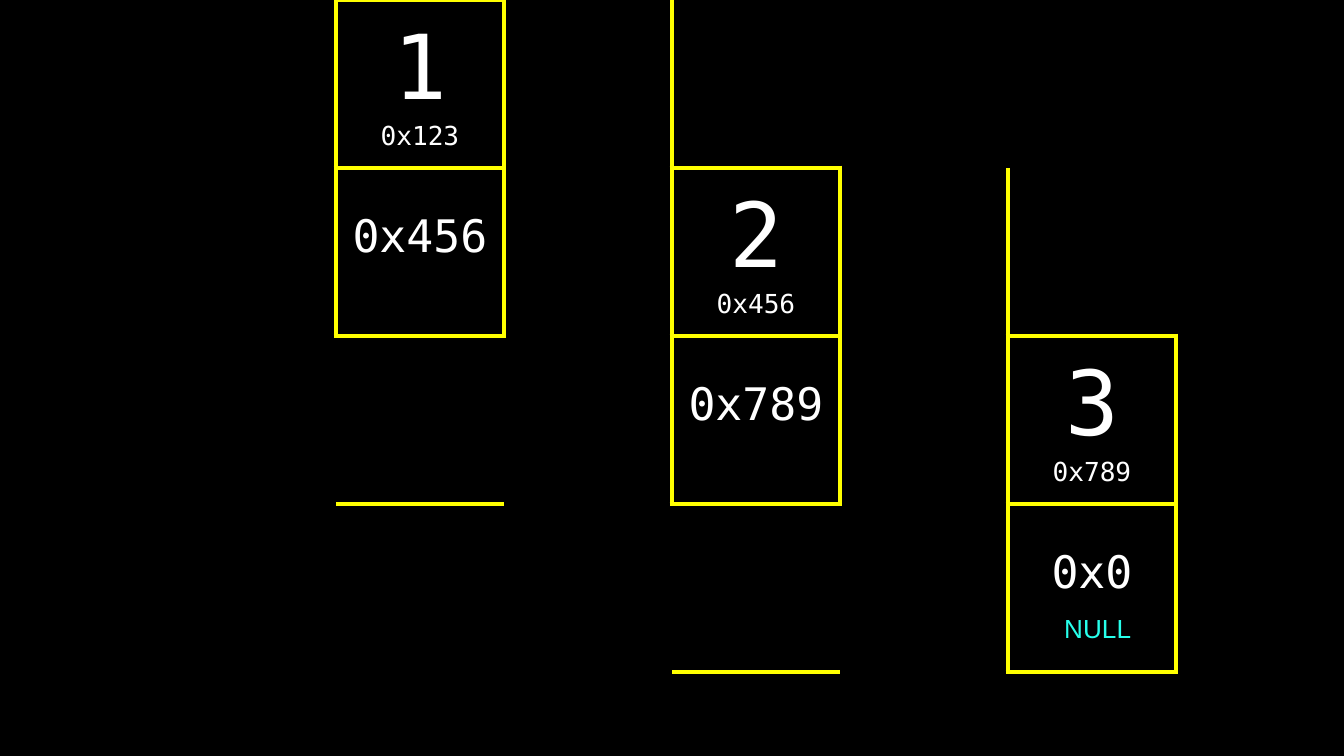
from lxml import etree
from pptx import Presentation
from pptx.dml.color import RGBColor
from pptx.enum.text import MSO_ANCHOR, MSO_AUTO_SIZE, PP_ALIGN
from pptx.oxml.ns import qn
from pptx.util import Inches, Pt

CENTER, LEFT = PP_ALIGN.CENTER, PP_ALIGN.LEFT
MIDDLE, BOTTOM = MSO_ANCHOR.MIDDLE, MSO_ANCHOR.BOTTOM
GROW = MSO_AUTO_SIZE.SHAPE_TO_FIT_TEXT

COLORS = {"back": "000000", "edge": "FFFF00", "text": "FFFFFF", "null": "27FFEB"}
MONO, SANS = "DejaVu Sans Mono", "Arial"
PLAIN = "{2D5ABB26-0587-4C30-8999-92F81FD0307C}"
ROWS, COLS, SIDE = 5, 8, 1.25
SIDES = {"a:lnL": (0, -1), "a:lnR": (0, 1), "a:lnT": (-1, 0), "a:lnB": (1, 0)}
NODES = [("1", "0x123", "0x456"), ("2", "0x456", "0x789"), ("3", "0x789", "0x0")]


def write(para, text, size, font=MONO, color="text", align=CENTER):
    """Put formatted text in a paragraph."""
    para.alignment = align
    run = para.add_run()
    run.text = text
    run.font.size = Pt(size)
    run.font.name = font
    run.font.color.rgb = RGBColor.from_string(COLORS[color])


def draw_edge(cell, tag):
    """Draw one solid border of a cell."""
    line = etree.SubElement(cell._tc.get_or_add_tcPr(), qn(tag), w=str(Pt(3)))
    fill = etree.SubElement(line, qn("a:solidFill"))
    etree.SubElement(fill, qn("a:srgbClr"), val=COLORS["edge"])


def add_grid(slide, used):
    """Add the plain table, with bright edges around the used cells."""
    frame = slide.shapes.add_table(
        ROWS, COLS, 0, 0, Inches(COLS * SIDE), Inches(ROWS * SIDE))
    table = frame.table
    table.first_row = table.horz_banding = False
    table._tbl.tblPr.find(qn("a:tableStyleId")).text = PLAIN
    for row in range(ROWS):
        for col in range(COLS):
            cell = table.cell(row, col)
            for tag, (down, right) in SIDES.items():
                if (row, col) in used or (row + down, col + right) in used:
                    draw_edge(cell, tag)
            cell.fill.background()
            cell.margin_left = cell.margin_right = Inches(0.1)
            cell.margin_top = cell.margin_bottom = Inches(0.1)
    return table


def add_node(table, row, col, value, address, link):
    """Fill a value cell and the pointer cell under it."""
    head, tail = table.cell(row, col), table.cell(row + 1, col)
    head.vertical_anchor, tail.vertical_anchor = MIDDLE, BOTTOM
    write(head.text_frame.paragraphs[0], value, 48)
    write(head.text_frame.add_paragraph(), address, 14)
    tail.margin_bottom = Inches(0.54)
    write(tail.text_frame.paragraphs[0], link, 24)


def add_label(slide, text, left, top, width, height):
    """Add a small label in a text box."""
    box = slide.shapes.add_textbox(
        Inches(left), Inches(top), Inches(width), Inches(height))
    box.text_frame.word_wrap = True
    box.text_frame.auto_size = GROW
    write(box.text_frame.paragraphs[0], text, 14, font=SANS, color="null", align=LEFT)


def main():
    """Build the linked list slide."""
    deck = Presentation()
    deck.slide_width = Inches(10)
    deck.slide_height = deck.slide_width * 9 // 16
    slide = deck.slides.add_slide(deck.slide_layouts[6])
    back = slide.background.fill
    back.solid()
    back.fore_color.rgb = RGBColor.from_string(COLORS["back"])

    spots = [(i, 2 + 2 * i) for i in range(len(NODES))]
    used = {(row + step, col) for row, col in spots for step in (0, 1)}
    table = add_grid(slide, used)
    for (row, col), node in zip(spots, NODES):
        add_node(table, row, col, *node)
    add_label(slide, "NULL", 7.82, 4.51, 0.76, 0.34)
    deck.save("out.pptx")


if __name__ == "__main__":
    main()
